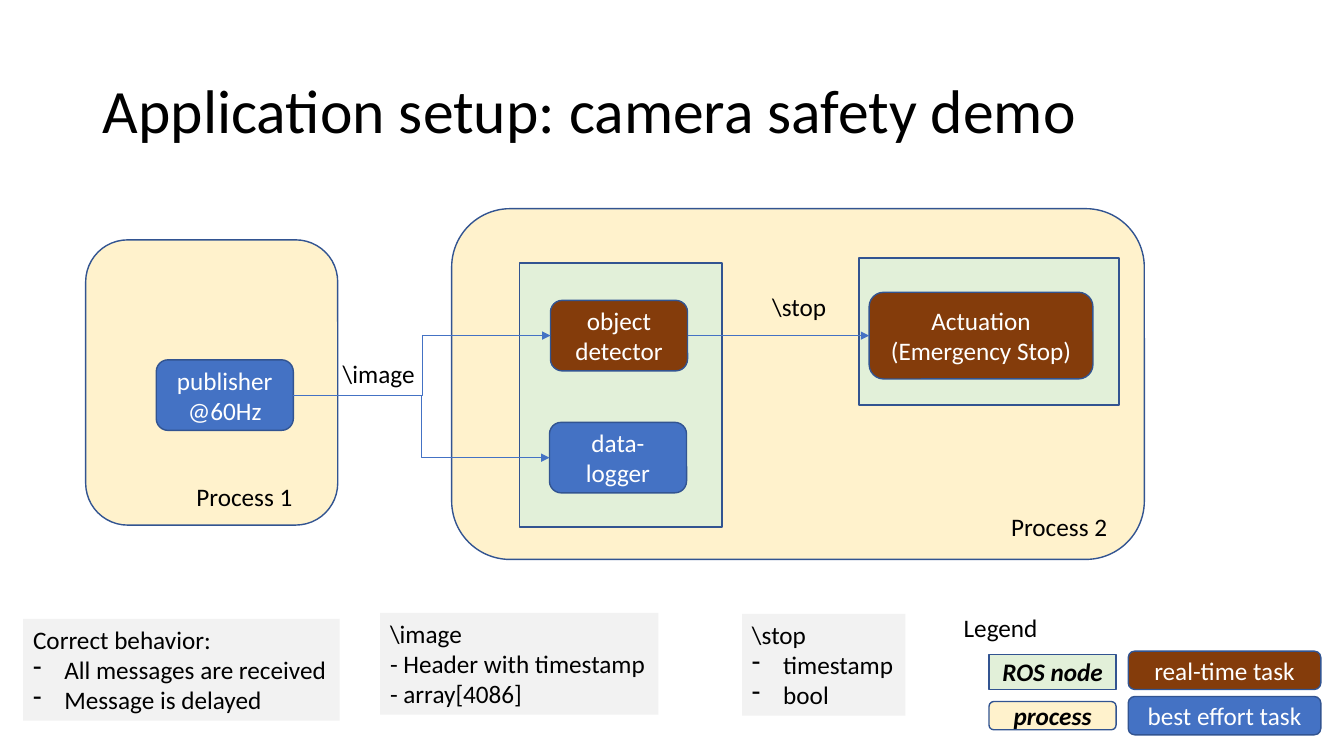
from lxml import etree
from pptx import Presentation
from pptx.dml.color import RGBColor
from pptx.enum.shapes import MSO_CONNECTOR as CONN, MSO_SHAPE as SHAPE
from pptx.enum.text import MSO_ANCHOR as ANCHOR, MSO_AUTO_SIZE as AUTOSIZE, PP_ALIGN as ALIGN
from pptx.oxml.ns import qn
from pptx.util import Inches, Pt

BLACK = RGBColor(0x00, 0x00, 0x00)
WHITE = RGBColor(0xFF, 0xFF, 0xFF)
CREAM = RGBColor(0xFF, 0xF2, 0xCC)
GREEN = RGBColor(0xE2, 0xF0, 0xD9)
BROWN = RGBColor(0x84, 0x3C, 0x0B)
BLUE = RGBColor(0x44, 0x72, 0xC4)
OUTLINE = RGBColor(0x32, 0x54, 0x91)
GREY = RGBColor(0xF2, 0xF2, 0xF2)
FONT = "Calibri"

prs = Presentation()
prs.slide_width, prs.slide_height = Inches(13.33), Inches(7.5)
slide = prs.slides.add_slide(prs.slide_layouts[5])
shapes = slide.shapes


def add_run(p, text, color, size=18):
    r = p.add_run()
    r.text = text
    r.font.name, r.font.size, r.font.color.rgb = FONT, Pt(size), color
    return r


def add_box(kind, box, fill, lines=(), color=WHITE, emphasis=False):
    """Add an outlined shape with centred text, one paragraph per line."""
    sp = shapes.add_shape(kind, *map(Inches, box))
    sp.shadow.inherit = False
    sp.fill.solid()
    sp.fill.fore_color.rgb = fill
    sp.line.color.rgb, sp.line.width = OUTLINE, Pt(1)
    tf = sp.text_frame
    tf.vertical_anchor = ANCHOR.MIDDLE
    for i, line in enumerate(lines):
        p = tf.add_paragraph() if i else tf.paragraphs[0]
        p.alignment = ALIGN.CENTER
        r = add_run(p, line, color)
        if emphasis:
            r.font.bold = r.font.italic = True
    return sp


# Title
title = shapes.title
title.left, title.top, title.width, title.height = map(Inches, (0.92, 0.4, 11.5, 1.45))
tf = title.text_frame
tf.vertical_anchor = ANCHOR.MIDDLE
p = tf.paragraphs[0]
p.alignment, p.line_spacing = ALIGN.LEFT, 0.9
add_run(p, "Application setup: camera safety demo", BLACK, 44)

# Processes and the nodes inside them
add_box(SHAPE.ROUNDED_RECTANGLE, (4.48, 2.07, 6.87, 3.48), CREAM)
add_box(SHAPE.RECTANGLE, (5.15, 2.61, 2.01, 2.62), GREEN)
add_box(SHAPE.RECTANGLE, (8.52, 2.56, 2.58, 1.46), GREEN)
add_box(SHAPE.ROUNDED_RECTANGLE, (0.85, 2.38, 2.5, 2.83), CREAM)

# Tasks
publisher = add_box(SHAPE.ROUNDED_RECTANGLE, (1.55, 3.57, 1.36, 0.7), BLUE, ["publisher@60Hz"])
detector = add_box(SHAPE.ROUNDED_RECTANGLE, (5.46, 2.98, 1.36, 0.7), BROWN, ["object detector"])
logger = add_box(SHAPE.ROUNDED_RECTANGLE, (5.45, 4.19, 1.36, 0.7), BLUE, ["data-logger"])
actuation = add_box(SHAPE.ROUNDED_RECTANGLE, (8.62, 2.9, 2.22, 0.86), BROWN,
                    ["Actuation", "(Emergency Stop)"])

# Messages between tasks
for source, target in ((publisher, detector), (publisher, logger), (detector, actuation)):
    c = shapes.add_connector(CONN.ELBOW, 0, 0, 0, 0)
    c.begin_connect(source, 3)
    c.end_connect(target, 1)
    c.line.color.rgb, c.line.width = BLUE, Pt(0.5)
    etree.SubElement(c.line._get_or_add_ln(), qn("a:tailEnd"), type="triangle")
    etree.SubElement(c._element.spPr, qn("a:effectLst"))

# Labels and notes; lines after the heading of a bulleted note get a dash
texts = (
    ((3.3, 3.51, 0.92, 0.4), None, False, ["\\image"]),
    ((7.56, 2.84, 0.74, 0.4), None, False, ["\\stop"]),
    ((9.93, 5.02, 1.16, 0.4), None, False, ["Process 2"]),
    ((1.85, 4.73, 1.16, 0.4), None, False, ["Process 1"]),
    ((9.46, 6.03, 0.94, 0.4), None, False, ["Legend"]),
    ((3.77, 6.08, 2.76, 1.01), GREY, False,
     ["\\image", "- Header with timestamp", "- array[4086]"]),
    ((7.36, 6.09, 1.62, 1.01), GREY, True, ["\\stop", "timestamp", "bool"]),
    ((0.23, 6.14, 3.14, 1.01), GREY, True,
     ["Correct behavior:", "All messages are received", "Message is delayed"]),
)
for box, fill, bulleted, lines in texts:
    sp = shapes.add_textbox(*map(Inches, box))
    if fill is not None:
        sp.fill.solid()
        sp.fill.fore_color.rgb = fill
    tf = sp.text_frame
    tf.word_wrap, tf.auto_size = False, AUTOSIZE.SHAPE_TO_FIT_TEXT
    for i, line in enumerate(lines):
        p = tf.add_paragraph() if i else tf.paragraphs[0]
        add_run(p, line, BLACK)
        if bulleted and i:
            pPr = p._p.get_or_add_pPr()
            pPr.set("marL", str(Inches(0.31)))
            pPr.set("indent", str(-Inches(0.31)))
            etree.SubElement(pPr, qn("a:buFontTx"))
            etree.SubElement(pPr, qn("a:buChar"), char="-")

# Legend
add_box(SHAPE.RECTANGLE, (9.81, 6.49, 1.26, 0.35), GREEN, ["ROS node"], BLACK, True)
add_box(SHAPE.ROUNDED_RECTANGLE, (9.81, 6.96, 1.26, 0.28), CREAM, ["process"], BLACK, True)
add_box(SHAPE.ROUNDED_RECTANGLE, (11.19, 6.91, 1.91, 0.38), BLUE, ["best effort task"])
add_box(SHAPE.ROUNDED_RECTANGLE, (11.19, 6.46, 1.91, 0.38), BROWN, ["real-time task"])

prs.save("out.pptx")
